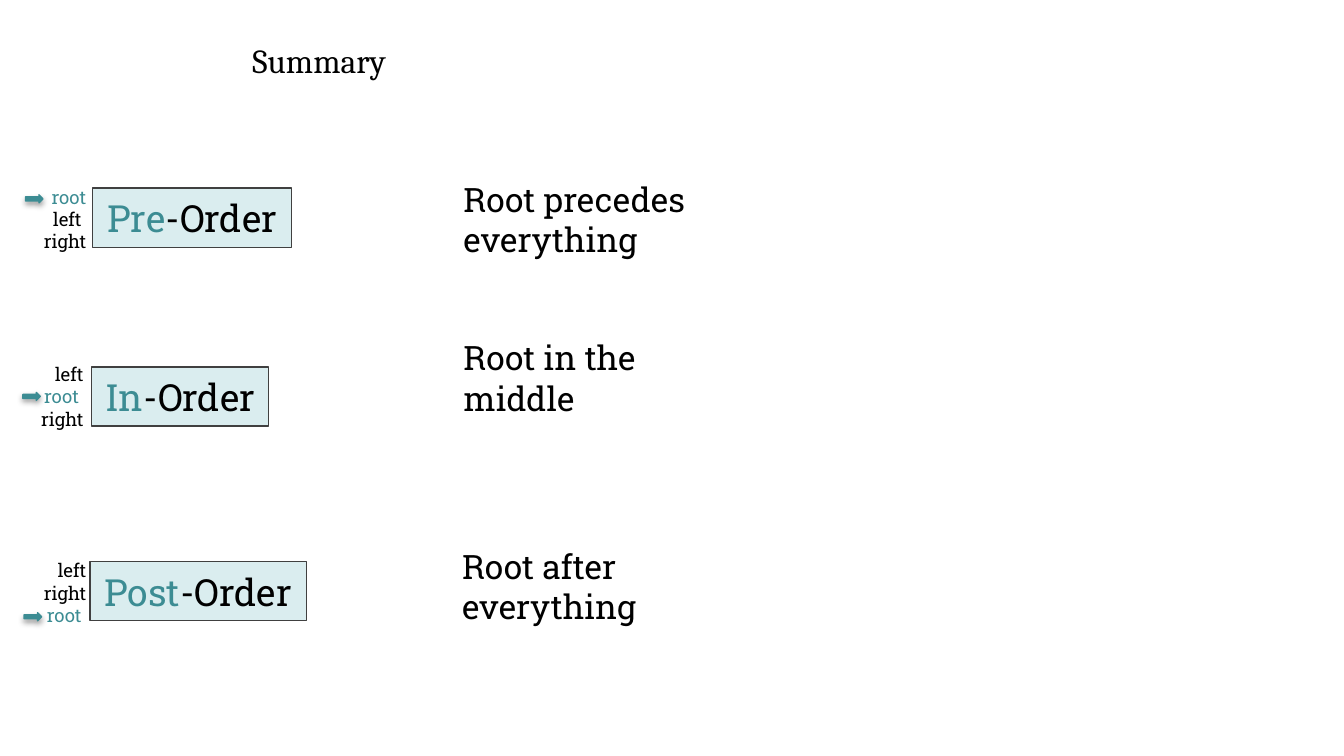
from dataclasses import dataclass

from lxml import etree
from pptx import Presentation
from pptx.dml.color import RGBColor
from pptx.enum.shapes import MSO_SHAPE as Preset
from pptx.enum.text import MSO_AUTO_SIZE as AutoSize, PP_ALIGN as Align
from pptx.oxml.ns import qn
from pptx.util import Inches, Pt


@dataclass(frozen=True)
class Theme:
    ink: str = "000000"
    accent: str = "3C8C93"
    panel: str = "DAEDEF"
    border: str = "404040"
    body_font: str = "Roboto Slab"
    title_font: str = "Cambria"
    step_size: int = 10
    text_size: int = 18
    order_size: int = 20
    line_width: float = 0.75


@dataclass(frozen=True)
class Box:
    left: float
    top: float
    width: float
    height: float

    def lengths(self) -> list:
        return [Inches(v) for v in (self.left, self.top, self.width, self.height)]


@dataclass(frozen=True)
class Traversal:
    prefix: str
    order_box: Box
    steps: tuple[str, ...]
    steps_box: Box
    arrow_box: Box
    meaning: str
    meaning_box: Box


THEME = Theme()

TRAVERSALS = [
    Traversal("Pre", Box(0.69, 1.4, 1.48, 0.44),
              ("root", "left ", "right"), Box(0.22, 1.33, 0.52, 0.61),
              Box(0.19, 1.45, 0.13, 0.06),
              "Root precedes everything", Box(3.35, 1.28, 3.08, 0.71)),
    Traversal("In", Box(0.68, 2.73, 1.32, 0.44),
              ("left", "root ", "right"), Box(0.2, 2.65, 0.52, 0.61),
              Box(0.17, 2.92, 0.13, 0.06),
              "Root in the middle", Box(3.35, 2.46, 2.24, 0.71)),
    Traversal("Post", Box(0.67, 4.18, 1.61, 0.44),
              ("left", "right", "root "), Box(0.22, 4.11, 0.52, 0.61),
              Box(0.18, 4.56, 0.13, 0.06),
              "Root after everything", Box(3.34, 4.01, 2.54, 0.71)),
]


def write(paragraph, text: str, size: int, color: str = THEME.ink,
          font: str = THEME.body_font) -> None:
    run = paragraph.add_run()
    run.text = text
    for attribute, value in {"name": font, "size": Pt(size)}.items():
        setattr(run.font, attribute, value)
    run.font.color.rgb = RGBColor.from_string(color)


def set_frame(frame, wrap: bool) -> None:
    layout = {"word_wrap": wrap, "auto_size": AutoSize.SHAPE_TO_FIT_TEXT}
    for attribute, value in layout.items():
        setattr(frame, attribute, value)


def add_text(slide, box: Box, wrap: bool = False):
    frame = slide.shapes.add_textbox(*box.lengths()).text_frame
    set_frame(frame, wrap)
    return frame


def add_filled(slide, preset, box: Box, fill: str, line: str):
    shape = slide.shapes.add_shape(preset, *box.lengths())
    shape.shadow.inherit = False
    shape.fill.solid()
    shape.fill.fore_color.rgb = RGBColor.from_string(fill)
    shape.line.color.rgb = RGBColor.from_string(line)
    shape.line.width = Pt(THEME.line_width)
    return shape


def add_order(slide, prefix: str, box: Box) -> None:
    frame = add_filled(slide, Preset.RECTANGLE, box,
                       THEME.panel, THEME.border).text_frame
    set_frame(frame, wrap=False)
    paragraph = frame.paragraphs[0]
    paragraph.alignment = Align.CENTER
    write(paragraph, prefix, THEME.order_size, THEME.accent)
    write(paragraph, "-Order", THEME.order_size)


def add_steps(slide, steps: tuple[str, ...], box: Box) -> None:
    frame = add_text(slide, box)
    for index, step in enumerate(steps):
        paragraph = frame.add_paragraph() if index else frame.paragraphs[0]
        paragraph.alignment = Align.RIGHT
        is_root = step.strip() == "root"
        write(paragraph, step, THEME.step_size,
              THEME.accent if is_root else THEME.ink)


def add_root_arrow(slide, box: Box) -> None:
    arrow = add_filled(slide, Preset.RIGHT_ARROW, box,
                       THEME.accent, THEME.accent)
    # Soft shadow straight below the arrow
    effects = arrow._element.spPr.find(qn("a:effectLst"))
    shadow = etree.SubElement(effects, qn("a:outerShdw"), blurRad=str(Pt(3.1)),
                              dist=str(Pt(1.6)), dir="5400000", rotWithShape="0")
    color = etree.SubElement(shadow, qn("a:srgbClr"), val=THEME.ink)
    etree.SubElement(color, qn("a:alpha"), val="38000")


def main() -> None:
    # Widescreen page, 16:9
    deck = Presentation()
    deck.slide_width = Inches(10)
    deck.slide_height = Inches(10 * 9 / 16)
    slide = deck.slides.add_slide(deck.slide_layouts[6])

    # One row per traversal order: named box, visiting steps, root marker
    for row in TRAVERSALS:
        add_order(slide, row.prefix, row.order_box)
    for row in TRAVERSALS:
        add_steps(slide, row.steps, row.steps_box)
        add_root_arrow(slide, row.arrow_box)

    # Title
    title = add_text(slide, Box(1.78, 0.25, 1.25, 0.4))
    write(title.paragraphs[0], "Summary", THEME.text_size, font=THEME.title_font)

    # Meaning of each order
    for row in TRAVERSALS:
        meaning = add_text(slide, row.meaning_box, wrap=True)
        write(meaning.paragraphs[0], row.meaning, THEME.text_size)

    deck.save("out.pptx")


if __name__ == "__main__":
    main()
